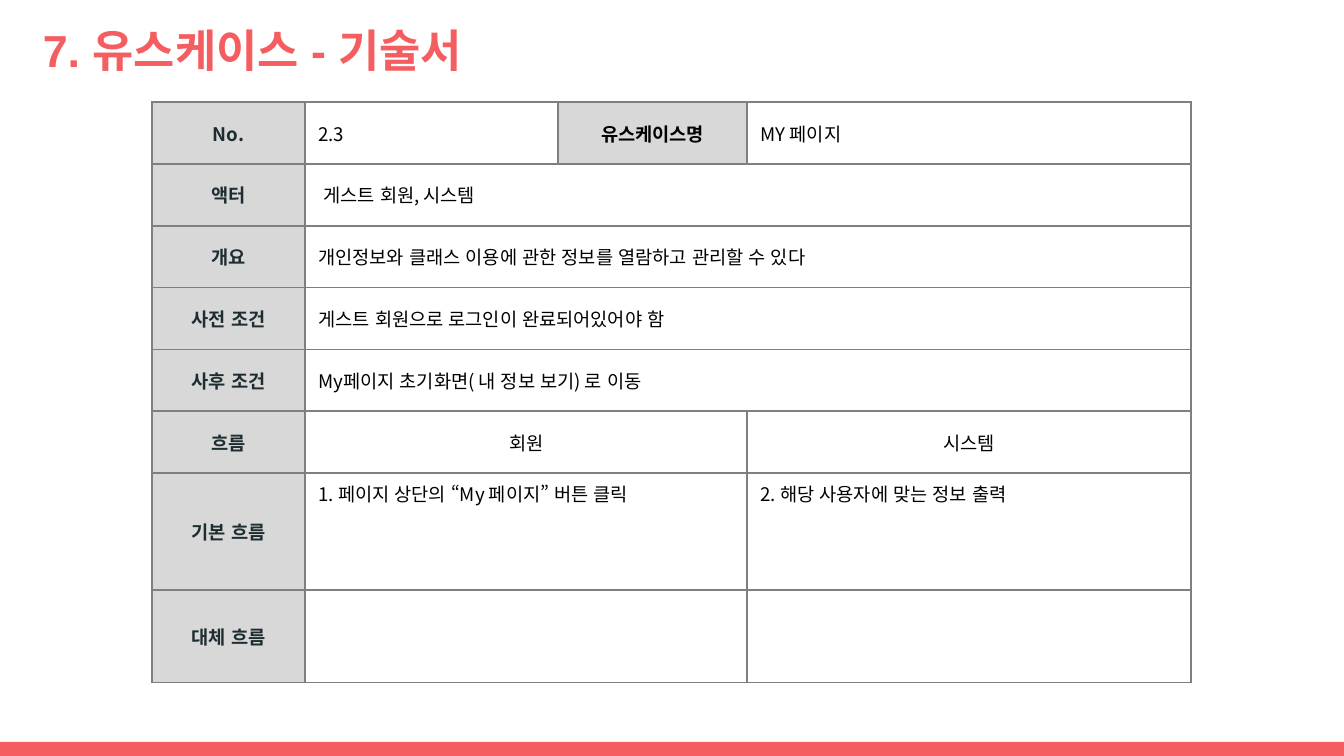
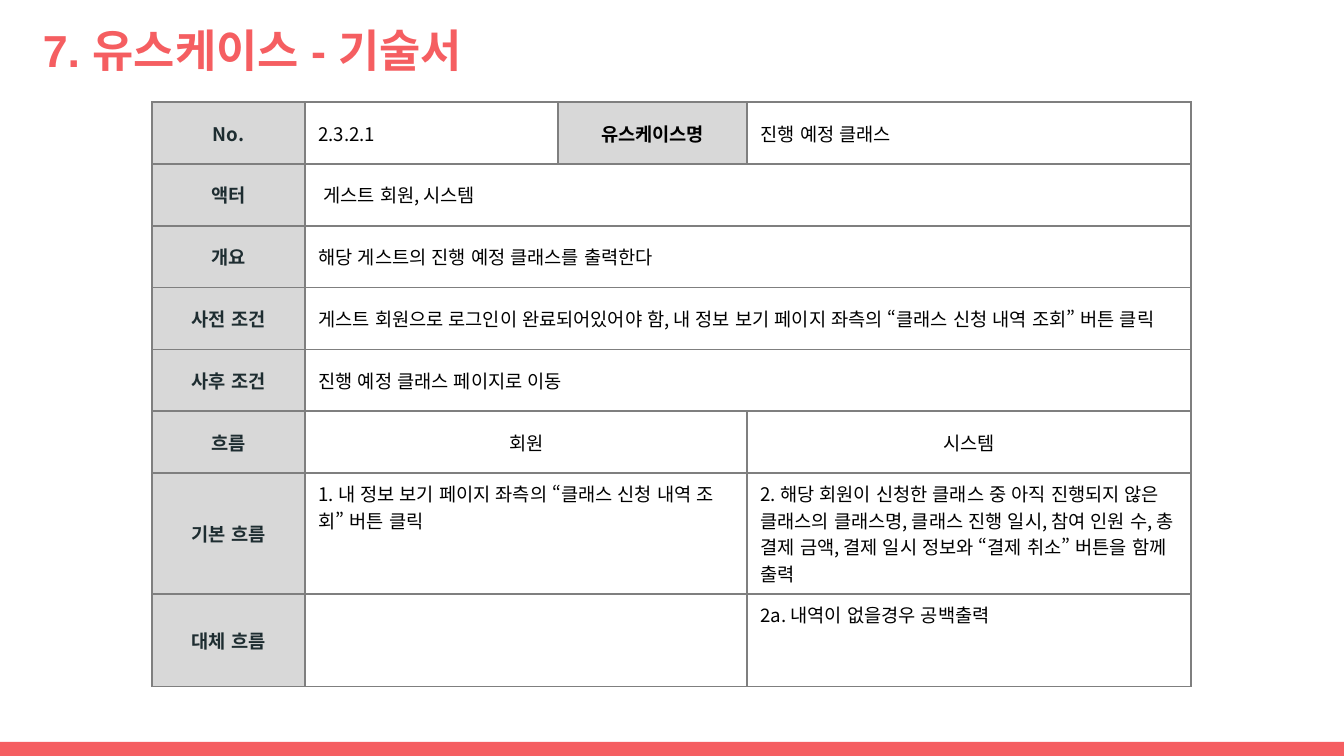
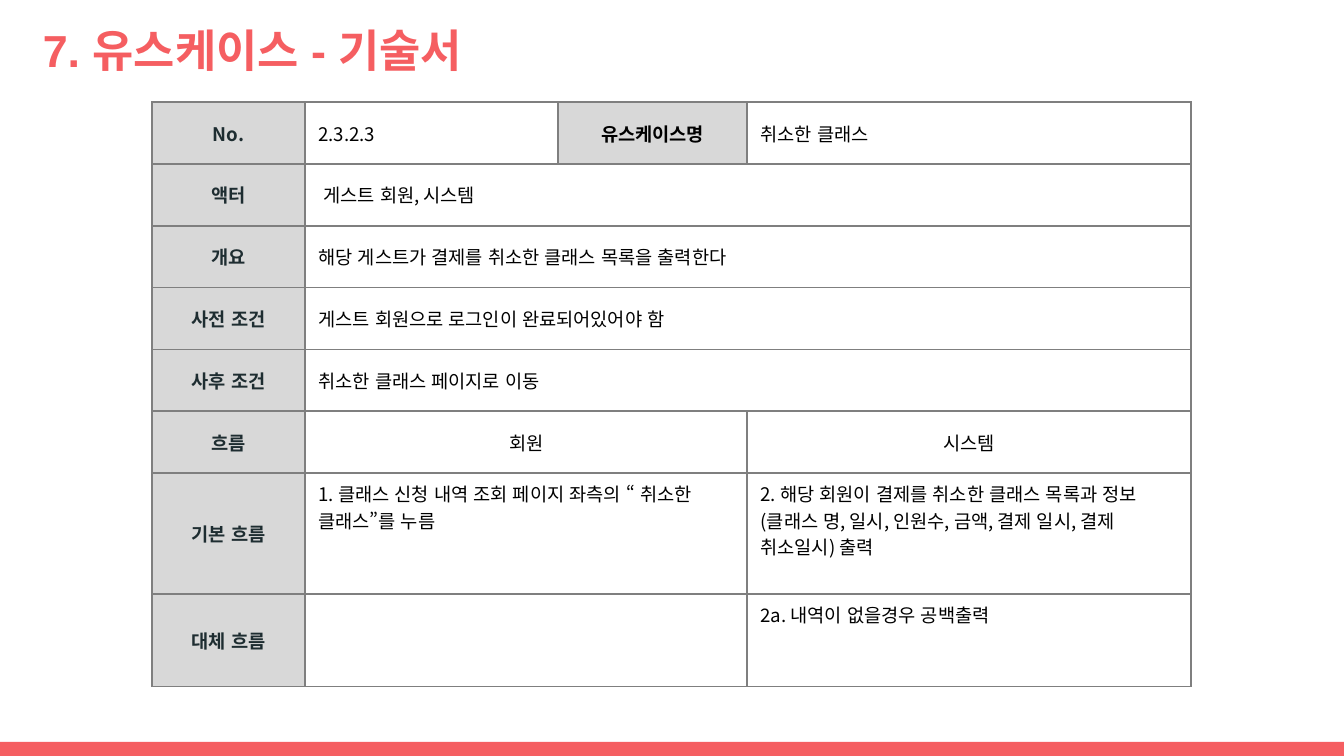
from pptx import Presentation
from pptx.dml.color import RGBColor
from pptx.enum.lang import MSO_LANGUAGE_ID as Lang
from pptx.enum.shapes import MSO_SHAPE as Shape
from pptx.enum.text import MSO_ANCHOR as Anchor, PP_ALIGN as Align
from pptx.oxml import parse_xml
from pptx.oxml.ns import nsdecls
from pptx.util import Inches, Pt

CORAL, GREY, SLATE, BLACK, LINE = "F55E61", "D8D8D8", "1E2D31", "000000", "7F7F7F"
TITLE = "7. 유스케이스 - 기술서"
COLS = [1.14, 1.88, 1.41, 3.3]
LABELS = ["No.", "액터", "개요", "사전 조건", "사후 조건", "흐름", "기본 흐름", "대체 흐름"]
ACTORS = " 게스트 회원, 시스템"
LOGGED_IN = "게스트 회원으로 로그인이 완료되어있어야 함"
EMPTY_RESULT = "2a. 내역이 없을경우 공백출력"

CASES = [
    dict(no="2.3", name="MY 페이지",
         summary="개인정보와 클래스 이용에 관한 정보를 열람하고 관리할 수 있다",
         before=LOGGED_IN,
         after="My페이지 초기화면( 내 정보 보기) 로 이동",
         member="1. 페이지 상단의 “My 페이지” 버튼 클릭",
         system="2. 해당 사용자에 맞는 정보 출력",
         alternative="", flow_height=0.87),
    dict(no="2.3.2.1", name="진행 예정 클래스",
         summary="해당 게스트의 진행 예정 클래스를 출력한다",
         before=LOGGED_IN + ", 내 정보 보기 페이지 좌측의 “클래스 신청 내역 조회” 버튼 클릭",
         after="진행 예정 클래스 페이지로 이동",
         member="1. 내 정보 보기 페이지 좌측의 “클래스 신청 내역 조회” 버튼 클릭",
         system="2. 해당 회원이 신청한 클래스 중 아직 진행되지 않은 클래스의 클래스명, "
                "클래스 진행 일시, 참여 인원 수, 총 결제 금액, 결제 일시 정보와 "
                "“결제 취소” 버튼을 함께 출력",
         alternative=EMPTY_RESULT, flow_height=0.9),
    dict(no="2.3.2.3", name="취소한 클래스",
         summary="해당 게스트가 결제를 취소한 클래스 목록을 출력한다",
         before=LOGGED_IN,
         after="취소한 클래스 페이지로 이동",
         member="1. 클래스 신청 내역 조회 페이지 좌측의 “ 취소한 클래스”를 누름",
         system="2. 해당 회원이 결제를 취소한 클래스 목록과 정보(클래스 명, 일시, 인원수, "
                "금액, 결제 일시, 결제 취소일시) 출력",
         alternative=EMPTY_RESULT, flow_height=0.9),
]


def rgb(value):
    """Return the colour for a hex string."""
    return RGBColor.from_string(value)


def write(tf, text, size=10, font="Noto Sans CJK KR", color=BLACK, bold=False,
          align=Align.LEFT, hanging=0):
    """Write one formatted paragraph into a text frame."""
    p = tf.paragraphs[0]
    p.alignment = align
    if hanging:
        pPr = p._p.get_or_add_pPr()
        pPr.set("marL", str(Inches(hanging)))
        pPr.set("indent", str(-Inches(hanging)))
    r = p.add_run()
    r.text = text
    r.font.size, r.font.name, r.font.bold = Pt(size), font, bold
    r.font.color.rgb = rgb(color)
    r.font.language_id = Lang.KOREAN
    r.font._element.append(parse_xml(f'<a:ea {nsdecls("a")} typeface="{font}"/>'))


class Deck:
    """Hold the shared style and the current slide."""

    def __init__(self):
        """Start a presentation of the right size."""
        self.prs = Presentation()
        self.prs.slide_width, self.prs.slide_height = Inches(10), Inches(5.625)
        self.s = None

    def slide(self, title):
        """Add a slide with its band and title."""
        self.s = self.prs.slides.add_slide(self.prs.slide_layouts[6])
        self.band(5.52, 0.11)
        self.title(title)

    def band(self, top, height):
        """Draw a full-width coloured band."""
        sp = self.s.shapes.add_shape(Shape.RECTANGLE, 0, Inches(top),
                                     self.prs.slide_width, Inches(height))
        sp.shadow.inherit = False
        sp.fill.solid()
        sp.fill.fore_color.rgb = rgb(CORAL)
        sp.line.fill.background()

    def title(self, text):
        """Write the slide title."""
        sp = self.s.shapes.add_textbox(Inches(0.22), Inches(0.07), Inches(9.32), Inches(0.6))
        tf = sp.text_frame
        tf.word_wrap = True
        tf.margin_left = tf.margin_right = tf.margin_top = tf.margin_bottom = Inches(0.1)
        write(tf, text, size=24, font="Arial", color=CORAL, bold=True)

    def table(self, left, top, cols, rows):
        """Add a plain bordered table and return it."""
        frame = self.s.shapes.add_table(len(rows), len(cols), Inches(left), Inches(top),
                                        Inches(sum(cols)), Inches(sum(rows)))
        table = frame.table
        table.first_row = table.horz_banding = False
        for column, width in zip(table.columns, cols):
            column.width = Inches(width)
        for row, height in zip(table.rows, rows):
            row.height = Inches(height)
        for cell in table.iter_cells():
            self.borders(cell)
            cell.fill.background()
        return table

    def borders(self, cell):
        """Give a cell a thin line on all sides."""
        tcPr = cell._tc.get_or_add_tcPr()
        for side in ("lnL", "lnR", "lnT", "lnB"):
            tcPr.append(parse_xml(
                f'<a:{side} {nsdecls("a")} w="{Pt(1)}"><a:solidFill>'
                f'<a:srgbClr val="{LINE}"/></a:solidFill></a:{side}>'))

    def cell(self, table, row, col, text, span=1, fill=None, anchor=Anchor.MIDDLE, **fmt):
        """Merge, fill and write one table cell."""
        cell = table.cell(row, col)
        if span > 1:
            cell.merge(table.cell(row, col + span - 1))
        cell.vertical_anchor = anchor
        cell.margin_left = cell.margin_right = Inches(0.1)
        cell.margin_top = cell.margin_bottom = Inches(0.05)
        if fill:
            cell.fill.solid()
            cell.fill.fore_color.rgb = rgb(fill)
        if text:
            write(cell.text_frame, text, **fmt)

    def use_case(self, case):
        """Add a slide that describes one use case."""
        self.slide(TITLE)
        t = self.table(1.13, 0.76, COLS, [0.46] * 6 + [case["flow_height"], 0.69])
        head = dict(fill=GREY, bold=True, align=Align.CENTER)
        for row, label in enumerate(LABELS):
            self.cell(t, row, 0, label, color=SLATE, **head)
        self.cell(t, 0, 1, case["no"])
        self.cell(t, 0, 2, "유스케이스명", **head)
        self.cell(t, 0, 3, case["name"])
        details = [ACTORS, case["summary"], case["before"], case["after"]]
        for row, text in enumerate(details, 1):
            self.cell(t, row, 1, text, span=3)
        flows = [
            ("회원", "시스템", dict(align=Align.CENTER)),
            (case["member"], case["system"], dict(anchor=Anchor.TOP)),
            ("", case["alternative"], dict(anchor=Anchor.TOP, hanging=0.4)),
        ]
        for row, (member, system, fmt) in enumerate(flows, 5):
            self.cell(t, row, 1, member, span=2, **fmt)
            self.cell(t, row, 3, system, **fmt)


def main():
    """Build and save the presentation."""
    deck = Deck()
    for case in CASES:
        deck.use_case(case)
    deck.prs.save("out.pptx")


if __name__ == "__main__":
    main()
